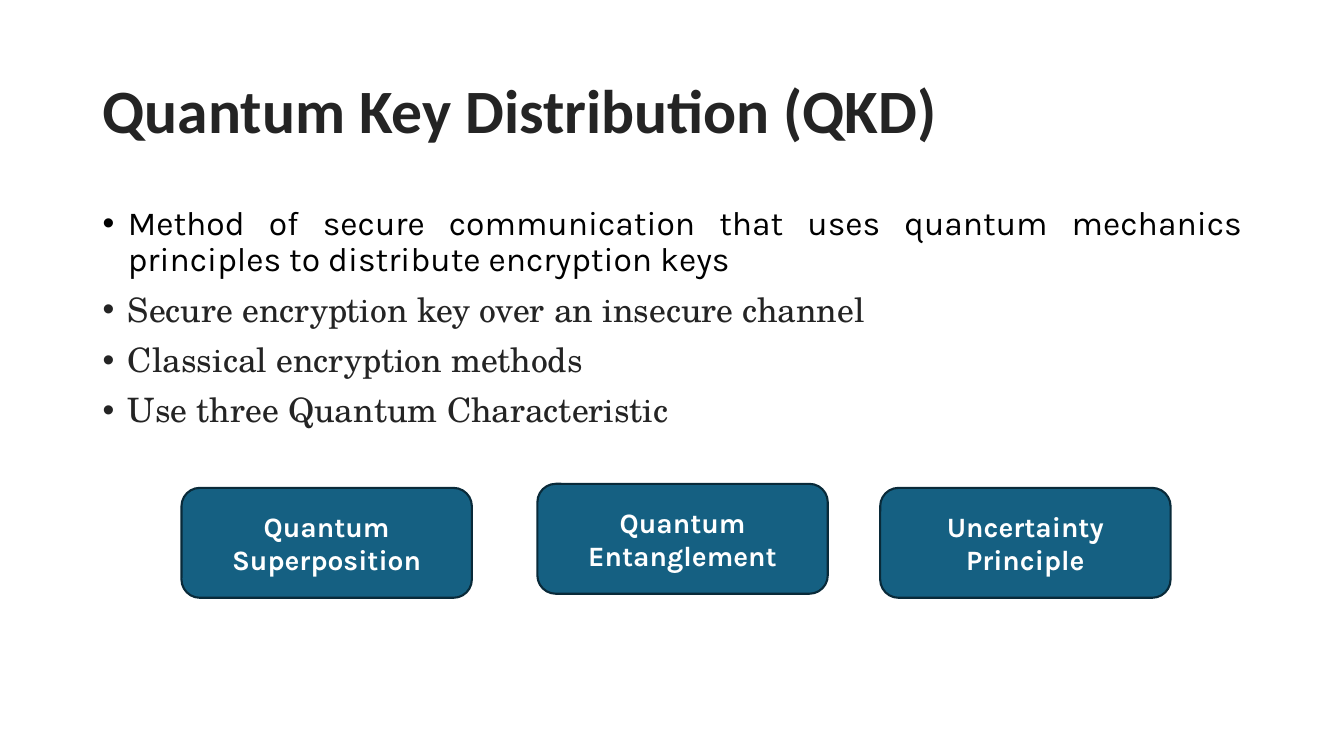
from dataclasses import dataclass

import pptx
import pptx.dml.color
import pptx.enum.shapes
import pptx.enum.text
import pptx.oxml
import pptx.oxml.ns
import pptx.util
from pptx.util import Inches

ALIGN = pptx.enum.text.PP_ALIGN
ANCHOR = pptx.enum.text.MSO_ANCHOR


@dataclass(frozen=True)
class Theme:
    ink: str = "242424"
    black: str = "000000"
    white: str = "FFFFFF"
    card_fill: str = "156082"
    card_line: str = "092A39"
    title_font: str = "Calibri"
    sans_font: str = "Karla"
    serif_font: str = "TeX Gyre Schola"
    title_size: int = 44
    body_size: int = 24
    card_size: int = 20


def rgb(value):
    return pptx.dml.color.RGBColor.from_string(value)


class SlideBuilder:
    def __init__(self, slide, theme):
        self.slide = slide
        self.theme = theme

    def style_runs(self, para, font, size, color, bold=False):
        for span in para.runs:
            span.font.name = font
            span.font.size = pptx.util.Pt(size)
            span.font.color.rgb = rgb(color)
            span.font.bold = bold

    def text_box(self, left, top, width, height, anchor):
        box = self.slide.shapes.add_textbox(
            Inches(left), Inches(top), Inches(width), Inches(height))
        frame = box.text_frame
        frame.word_wrap = True
        frame.vertical_anchor = anchor
        return frame

    def title(self, text, left, top, width, height):
        frame = self.text_box(left, top, width, height, ANCHOR.MIDDLE)
        frame.text = text
        para = frame.paragraphs[0]
        para.line_spacing = 0.9
        self.style_runs(para, self.theme.title_font, self.theme.title_size,
                        self.theme.ink, bold=True)

    def set_bullet(self, para):
        """Give the paragraph a round bullet with a hanging indent."""
        properties = para._p.get_or_add_pPr()
        properties.set("marL", str(Inches(0.25)))
        properties.set("indent", str(Inches(-0.25)))
        namespace = pptx.oxml.ns.nsdecls("a")
        for element in ('a:buFont %s typeface="Arial"', 'a:buChar %s char="•"'):
            properties.append(pptx.oxml.parse_xml(f"<{element % namespace}/>"))

    def bullets(self, items, left, top, width, height):
        """Write a list of (text, font, color) items."""
        frame = self.text_box(left, top, width, height, ANCHOR.TOP)
        frame.text = "\n".join(text for text, font, color in items)
        for para, (text, font, color) in zip(frame.paragraphs, items):
            para.alignment = ALIGN.JUSTIFY
            para.line_spacing = 0.9
            para.space_before = pptx.util.Pt(10)
            self.set_bullet(para)
            self.style_runs(para, font, self.theme.body_size, color)

    def card(self, text, left, top, width, height):
        card = self.slide.shapes.add_shape(
            pptx.enum.shapes.MSO_SHAPE.ROUNDED_RECTANGLE,
            Inches(left), Inches(top), Inches(width), Inches(height))
        card.shadow.inherit = False
        card.fill.solid()
        card.fill.fore_color.rgb = rgb(self.theme.card_fill)
        card.line.color.rgb = rgb(self.theme.card_line)
        card.line.width = pptx.util.Pt(1.5)
        frame = card.text_frame
        frame.word_wrap = True
        frame.vertical_anchor = ANCHOR.MIDDLE
        frame.text = text
        para = frame.paragraphs[0]
        para.alignment = ALIGN.CENTER
        self.style_runs(para, self.theme.sans_font, self.theme.card_size,
                        self.theme.white, bold=True)


def main():
    deck = pptx.Presentation()
    deck.slide_width = Inches(13.33)
    deck.slide_height = Inches(7.5)
    theme = Theme()
    page = SlideBuilder(deck.slides.add_slide(deck.slide_layouts[6]), theme)

    page.title("Quantum Key Distribution (QKD)", 0.92, 0.4, 11.5, 1.45)
    page.bullets([
        ("Method of secure communication that uses quantum mechanics "
         "principles to distribute encryption keys", theme.sans_font, theme.black),
        ("Secure encryption key over an insecure channel", theme.serif_font, theme.ink),
        ("Classical encryption methods", theme.serif_font, theme.ink),
        ("Use three Quantum Characteristic", theme.serif_font, theme.ink),
    ], 0.92, 2, 11.5, 4.76)

    for text, left, top in (
        ("Quantum Superposition", 1.8, 4.84),
        ("Quantum Entanglement", 5.33, 4.8),
        ("Uncertainty Principle", 8.73, 4.84),
    ):
        page.card(text, left, top, 2.88, 1.09)

    deck.save("out.pptx")


if __name__ == "__main__":
    main()
